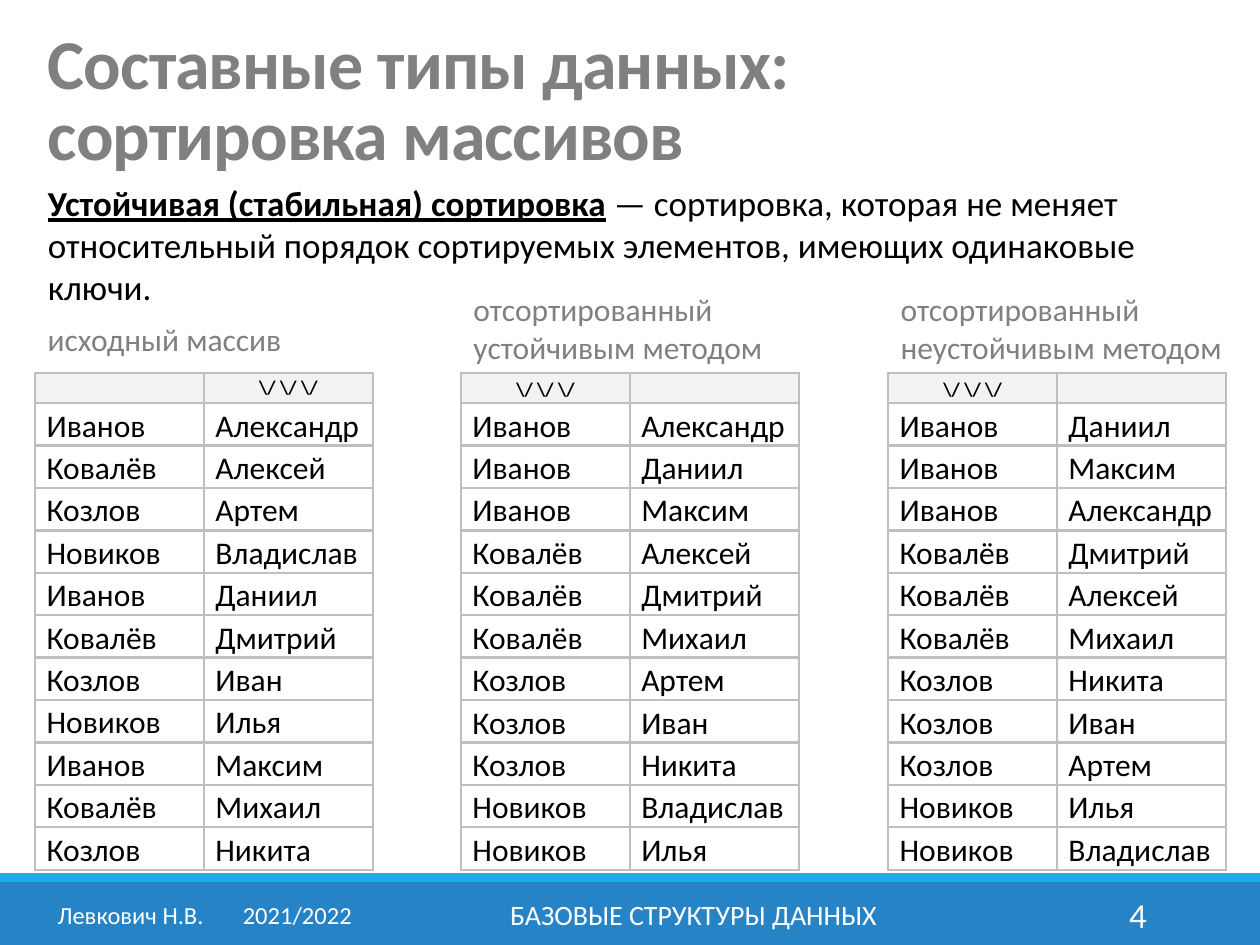
from dataclasses import dataclass
from typing import Any

from lxml import etree
from pptx import Presentation
from pptx.dml.color import RGBColor
from pptx.enum import shapes, text
from pptx.oxml import ns
from pptx.util import Inches, Pt


@dataclass(frozen=True)
class Theme:
    font: str = "Calibri"
    gray: str = "808080"
    black: str = "000000"
    white: str = "FFFFFF"
    blue: str = "2683C6"
    cyan: str = "1CADE4"
    header_fill: str = "F2F2F2"
    border: str = "BFBFBF"
    title: int = 40
    body: int = 20
    label: int = 18
    marker: int = 11
    course: int = 16
    author: int = 14


@dataclass(frozen=True)
class Box:
    left: float
    top: float
    width: float
    height: float

    def lengths(self) -> tuple:
        return tuple(map(Inches, (self.left, self.top, self.width, self.height)))


@dataclass(frozen=True)
class Caption:
    words: str
    box: Box
    size: int
    color: str
    frame: dict
    alignment: Any = text.PP_ALIGN.LEFT


@dataclass(frozen=True)
class NameTable:
    left: float
    key_column: int
    rows: list
    anchor: Any


THEME = Theme()
MIDDLE, TOP = text.MSO_ANCHOR.MIDDLE, text.MSO_ANCHOR.TOP
ALIGN = text.PP_ALIGN
LEFTS = (0.28, 3.66, 7.05)
TABLE_TOP = 2.96
COLUMN_WIDTH = 1.34
HEADER_HEIGHT, ROW_HEIGHT = 0.24, 0.33
CELL_INDENT = 0.08
SORT_MARKER = r"\/ \/ \/"

SURNAMES = ("Иванов", "Ковалёв", "Козлов", "Новиков")
FIRST_NAMES = ("Александр", "Алексей", "Артем", "Владислав", "Даниил", "Дмитрий",
               "Иван", "Илья", "Максим", "Михаил", "Никита")
UNSTABLE_NAMES = ("Даниил", "Максим", "Александр", "Дмитрий", "Алексей", "Михаил",
                  "Никита", "Иван", "Артем", "Илья", "Владислав")
SOURCE = [(SURNAMES[i % len(SURNAMES)], name) for i, name in enumerate(FIRST_NAMES)]
STABLE = sorted(SOURCE, key=lambda person: person[0])
UNSTABLE = [(person[0], name) for person, name in zip(STABLE, UNSTABLE_NAMES)]

TABLES = (
    NameTable(LEFTS[0], 1, SOURCE, TOP),
    NameTable(LEFTS[1], 0, STABLE, MIDDLE),
    NameTable(LEFTS[2], 0, UNSTABLE, MIDDLE),
)

LABEL_FRAME = {"word_wrap": True, "vertical_anchor": TOP}
FOOTER_FRAME = {"word_wrap": True, "vertical_anchor": MIDDLE}
CAPTIONS = (
    Caption("исходный массив", Box(LEFTS[0], 2.49, 2.6, 0.4),
            THEME.label, THEME.gray, LABEL_FRAME),
    Caption("отсортированный устойчивым методом", Box(LEFTS[1], 2.25, 2.6, 0.71),
            THEME.label, THEME.gray, LABEL_FRAME),
    Caption("отсортированный неустойчивым методом", Box(LEFTS[2], 2.25, 2.76, 0.71),
            THEME.label, THEME.gray, LABEL_FRAME),
    Caption("БАЗОВЫЕ СТРУКТУРЫ ДАННЫХ", Box(3.02, 7.06, 4.97, 0.4),
            THEME.course, THEME.white, FOOTER_FRAME, ALIGN.CENTER),
    Caption("4", Box(8.12, 7.06, 1.08, 0.4),
            THEME.body, THEME.white, FOOTER_FRAME, ALIGN.RIGHT),
)


def apply(target: Any, values: dict) -> None:
    for name, value in values.items():
        setattr(target, name, value)


def format_run(run: Any, size: int, color: str, **extra: Any) -> None:
    apply(run.font, {"name": THEME.font, "size": Pt(size), "bold": False, **extra})
    run.font.color.rgb = RGBColor.from_string(color)


def move(shape: Any, box: Box) -> None:
    apply(shape, dict(zip(("left", "top", "width", "height"), box.lengths())))


def add_band(slide: Any, box: Box, color: str) -> None:
    band = slide.shapes.add_shape(shapes.MSO_SHAPE.RECTANGLE, *box.lengths())
    band.shadow.inherit = False
    band.fill.solid()
    band.fill.fore_color.rgb = RGBColor.from_string(color)
    band.line.fill.background()


def add_caption(slide: Any, caption: Caption) -> Any:
    shape = slide.shapes.add_textbox(*caption.box.lengths())
    apply(shape.text_frame, caption.frame)
    paragraph = shape.text_frame.paragraphs[0]
    paragraph.alignment = caption.alignment
    format_run(paragraph.add_run(), caption.size, caption.color)
    paragraph.runs[0].text = caption.words
    return paragraph


def add_author(slide: Any) -> None:
    paragraph = add_caption(slide, Caption(
        "Левкович Н.В.\t2021/2022", Box(0.32, 7.06, 2.61, 0.4),
        THEME.author, THEME.white, FOOTER_FRAME, ALIGN.CENTER))
    tabs = etree.SubElement(paragraph._p.get_or_add_pPr(), ns.qn("a:tabLst"))
    etree.SubElement(tabs, ns.qn("a:tab"), pos=str(Inches(1.47)), algn="l")


def fill_title(title: Any) -> None:
    move(title, Box(LEFTS[0], 0.29, 9.45, 1.15))
    apply(title.text_frame, {"vertical_anchor": text.MSO_ANCHOR.BOTTOM, "word_wrap": True,
                             "auto_size": text.MSO_AUTO_SIZE.NONE})
    paragraph = title.text_frame.paragraphs[0]
    paragraph.text = "Составные типы данных:\vсортировка массивов"
    apply(paragraph, {"alignment": ALIGN.LEFT, "line_spacing": 0.85})
    for run in paragraph.runs:
        format_run(run, THEME.title, THEME.gray, bold=True)
        run.font._element.set("spc", "-50")


def fill_definition(body: Any) -> None:
    move(body, Box(LEFTS[0], 1.39, 9.45, 1.11))
    apply(body.text_frame, {"vertical_anchor": TOP, "word_wrap": True,
                            "auto_size": text.MSO_AUTO_SIZE.NONE})
    paragraph = body.text_frame.paragraphs[0]
    apply(paragraph, {"alignment": ALIGN.LEFT, "space_before": Pt(0)})
    properties = paragraph._p.get_or_add_pPr()
    properties.set("marL", "0")
    properties.set("indent", "0")
    etree.SubElement(properties, ns.qn("a:buNone"))
    parts = (("Устойчивая (стабильная) сортировка", True),
             (" — сортировка, которая не меняет относительный порядок сортируемых "
              "элементов, имеющих одинаковые ключи.", False))
    for words, is_term in parts:
        run = paragraph.add_run()
        run.text = words
        format_run(run, THEME.body, THEME.black, bold=is_term, underline=is_term)


def add_borders(cell: Any) -> None:
    properties = cell._tc.get_or_add_tcPr()
    for side in ("lnL", "lnR", "lnT", "lnB"):
        line = etree.SubElement(properties, ns.qn(f"a:{side}"), w=str(Pt(1.5)))
        fill = etree.SubElement(line, ns.qn("a:solidFill"))
        etree.SubElement(fill, ns.qn("a:srgbClr"), val=THEME.border)


def fill_cell(cell: Any, words: str, is_header: bool, anchor: Any) -> None:
    add_borders(cell)
    apply(cell, {"margin_left": Inches(0.01), "margin_right": Inches(0.01),
                 "margin_top": Inches(0.01), "margin_bottom": 0, "vertical_anchor": anchor})
    cell.fill.solid()
    cell.fill.fore_color.rgb = RGBColor.from_string(
        THEME.header_fill if is_header else THEME.white)
    paragraph = cell.text_frame.paragraphs[0]
    apply(paragraph, {"line_spacing": 1.07,
                      "alignment": ALIGN.CENTER if is_header else ALIGN.LEFT})
    size = THEME.marker if is_header else THEME.label
    if not words:
        etree.SubElement(paragraph._p, ns.qn("a:endParaRPr"), sz=str(size * 100))
        return
    if not is_header:
        paragraph._p.get_or_add_pPr().set("marL", str(Inches(CELL_INDENT)))
    run = paragraph.add_run()
    run.text = words
    format_run(run, size, THEME.black, bold=is_header)


def add_name_table(slide: Any, names: NameTable) -> None:
    header = tuple(SORT_MARKER if i == names.key_column else "" for i in range(2))
    rows = [header, *names.rows]
    box = Box(names.left, TABLE_TOP, 2 * COLUMN_WIDTH,
              HEADER_HEIGHT + ROW_HEIGHT * len(names.rows))
    table = slide.shapes.add_table(len(rows), 2, *box.lengths()).table
    apply(table, {"first_row": False, "horz_banding": False})
    for column in table.columns:
        column.width = Inches(COLUMN_WIDTH)
    for i, row in enumerate(rows):
        table.rows[i].height = Inches(ROW_HEIGHT if i else HEADER_HEIGHT)
        for j, words in enumerate(row):
            fill_cell(table.cell(i, j), words, i == 0, names.anchor)


def main() -> None:
    presentation = Presentation()
    apply(presentation, {"slide_width": Inches(10), "slide_height": Inches(7.5)})
    slide = presentation.slides.add_slide(presentation.slide_layouts[1])
    add_band(slide, Box(0, 7, 10, 0.5), THEME.blue)
    add_band(slide, Box(0, 6.93, 10, 0.07), THEME.cyan)
    fill_title(slide.shapes.title)
    fill_definition(slide.placeholders[1])
    for names in TABLES:
        add_name_table(slide, names)
    for caption in CAPTIONS:
        add_caption(slide, caption)
    add_author(slide)
    presentation.save("out.pptx")


if __name__ == "__main__":
    main()
